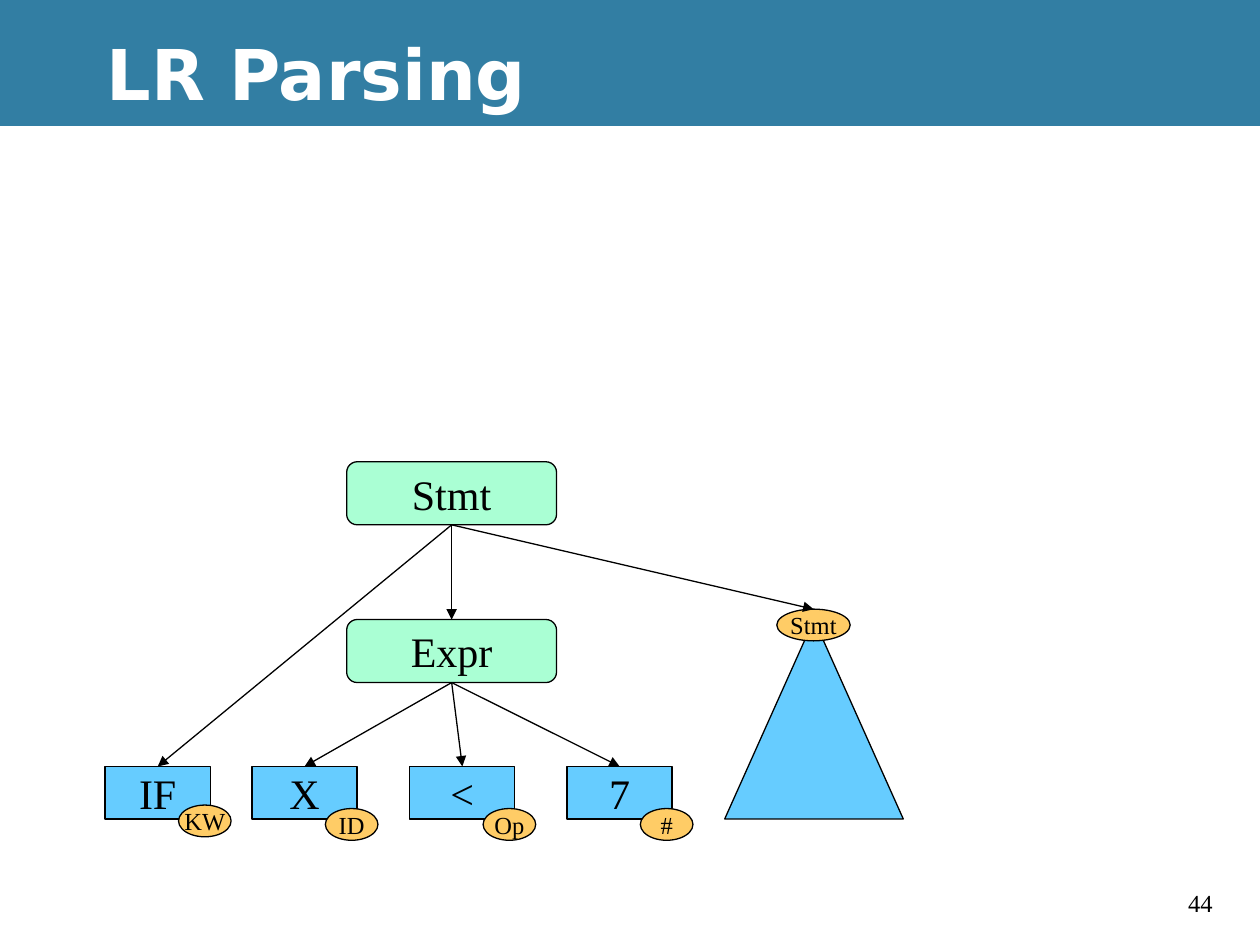
import pptx
import pptx.dml.color
import pptx.enum.shapes
import pptx.enum.text
import pptx.oxml
import pptx.oxml.ns
import pptx.util
from pptx.util import Cm

RGBColor = pptx.dml.color.RGBColor
Geometry = pptx.enum.shapes.MSO_SHAPE
Anchor = pptx.enum.text.MSO_ANCHOR
Align = pptx.enum.text.PP_ALIGN

BLACK = RGBColor(0x00, 0x00, 0x00)
WHITE = RGBColor(0xFF, 0xFF, 0xFF)
BAND = RGBColor(0x32, 0x7E, 0xA3)
TOKEN = RGBColor(0x66, 0xCC, 0xFF)
TAG = RGBColor(0xFF, 0xCC, 0x66)
NONTERMINAL = RGBColor(0xAA, 0xFF, 0xD4)

TOP, BOTTOM = 0, 2


class ParseTreeSlide:
    font = "Times New Roman"
    title_font = "DejaVu Sans"
    node_size = 24
    tag_size = 14
    line_width = pptx.util.Pt(0.75)

    def __init__(self, slide):
        self.slide = slide

    def add_text(self, paragraph, text, size, name, color=BLACK, bold=False):
        run = paragraph.add_run()
        run.text = text
        run.font.size = pptx.util.Pt(size)
        run.font.name = name
        run.font.color.rgb = color
        run.font.bold = bold

    def panel(self, top, height, color):
        panel = self.slide.shapes.add_shape(
            Geometry.RECTANGLE, 0, Cm(top), Cm(25.4), Cm(height))
        panel.shadow.inherit = False
        panel.fill.solid()
        panel.fill.fore_color.rgb = color
        panel.line.fill.background()

    def title(self, text):
        title = self.slide.shapes.title
        self.slide.shapes._spTree.append(title._element)
        title.left, title.top = Cm(1.9), Cm(0.2)
        title.width, title.height = Cm(23.5), Cm(2.54)
        title.text_frame.vertical_anchor = Anchor.MIDDLE
        heading = title.text_frame.paragraphs[0]
        heading.alignment = Align.LEFT
        self.add_text(heading, text, 40, self.title_font, WHITE, True)

    def page_number(self, text):
        number = self.slide.shapes.add_textbox(Cm(23.7), Cm(17.78), Cm(1.27), Cm(0.86))
        number.text_frame.word_wrap = True
        self.add_text(number.text_frame.paragraphs[0], text, self.tag_size, self.font)

    def node(self, shapes, geometry, box, color, text="", size=node_size):
        node = shapes.add_shape(geometry, *(Cm(length) for length in box))
        node.shadow.inherit = False
        node.fill.solid()
        node.fill.fore_color.rgb = color
        node.line.color.rgb = BLACK
        node.line.width = self.line_width
        if text:
            node.text_frame.word_wrap = False
            node.text_frame.vertical_anchor = Anchor.MIDDLE
            label = node.text_frame.paragraphs[0]
            label.alignment = Align.CENTER
            self.add_text(label, text, size, self.font)
        return node

    def tag(self, shapes, left, top, width, text):
        return self.node(shapes, Geometry.OVAL, (left, top, width, 0.64),
                         TAG, text, self.tag_size)

    def token(self, left, text, category, tag_top=16.3):
        shapes = self.slide.shapes.add_group_shape().shapes
        token = self.node(shapes, Geometry.RECTANGLE, (left, 15.45, 2.12, 1.06), TOKEN, text)
        self.tag(shapes, left + 1.48, tag_top, 1.06, category)
        return token

    def nonterminal(self, top, text):
        return self.node(self.slide.shapes, Geometry.ROUNDED_RECTANGLE,
                         (6.99, top, 4.23, 1.27), NONTERMINAL, text)

    def subtree(self, text):
        shapes = self.slide.shapes.add_group_shape().shapes
        self.node(shapes, Geometry.ISOSCELES_TRIANGLE, (14.61, 12.49, 3.6, 4.02), TOKEN)
        return self.tag(shapes, 15.66, 12.28, 1.48, text)

    def arrow(self, parent, child):
        arrow = self.slide.shapes.add_connector(
            pptx.enum.shapes.MSO_CONNECTOR.STRAIGHT, 0, 0, 0, 0)
        arrow.begin_connect(parent, BOTTOM)
        arrow.end_connect(child, TOP)
        arrow.line.color.rgb = BLACK
        arrow.line.width = self.line_width
        namespace = pptx.oxml.ns.nsdecls("a")
        arrow.line._get_or_add_ln().append(
            pptx.oxml.parse_xml(f'<a:tailEnd {namespace} type="triangle"/>'))
        arrow._element.spPr.append(pptx.oxml.parse_xml(f"<a:effectLst {namespace}/>"))


def main():
    deck = pptx.Presentation()
    deck.slide_width, deck.slide_height = Cm(25.4), Cm(19.05)
    slide = deck.slides.add_slide(deck.slide_layouts.get_by_name("Title Only"))
    slide.background.fill.solid()
    slide.background.fill.fore_color.rgb = BLACK

    tree = ParseTreeSlide(slide)
    tree.panel(2.54, 16.51, WHITE)
    tree.panel(0, 2.54, BAND)
    tree.page_number("44")
    tree.title("LR Parsing")

    seven = tree.token(11.43, "7", "#")
    less_than = tree.token(8.26, "<", "Op")
    identifier = tree.token(5.08, "X", "ID")
    keyword = tree.token(2.12, "IF", "KW", tag_top=16.23)

    expression = tree.nonterminal(12.49, "Expr")
    for operand in (identifier, less_than, seven):
        tree.arrow(expression, operand)

    statement = tree.nonterminal(9.31, "Stmt")
    body = tree.subtree("Stmt")
    for part in (keyword, expression, body):
        tree.arrow(statement, part)

    deck.save("out.pptx")


if __name__ == "__main__":
    main()
